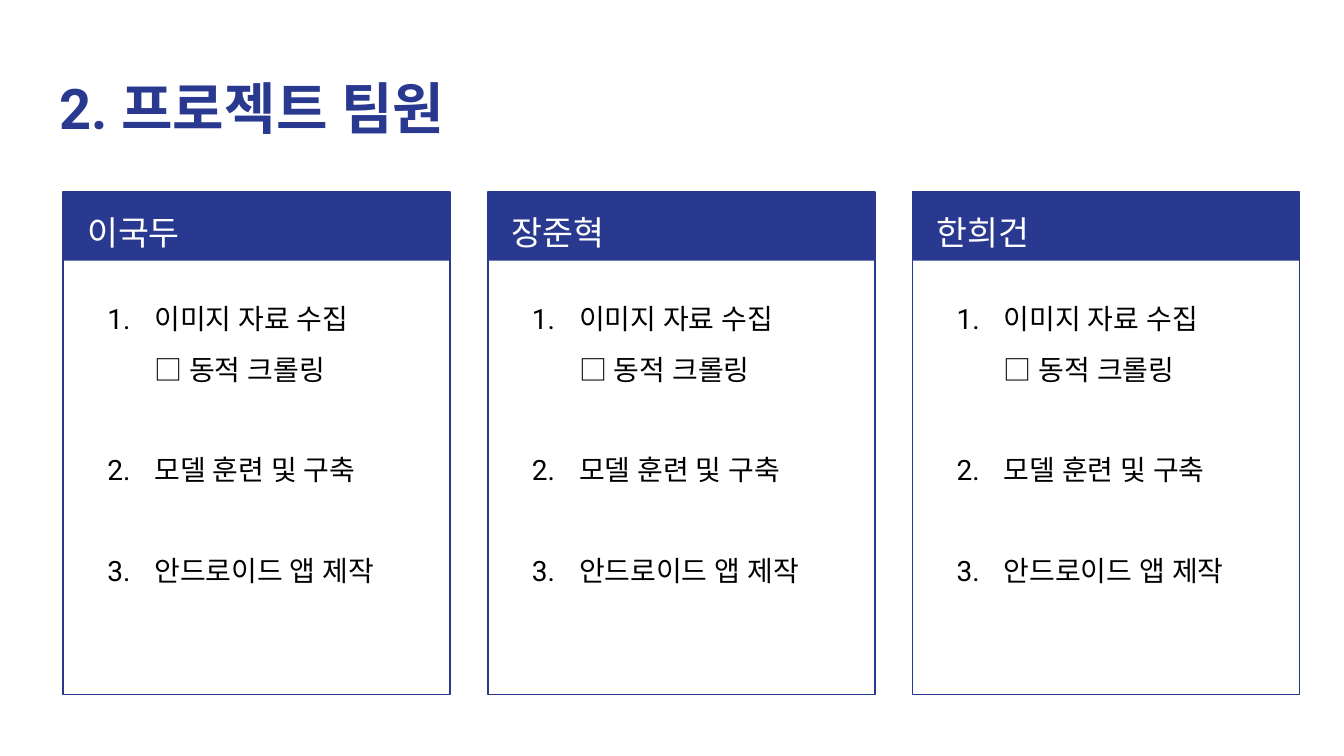
"""Build the project team slide with one task card per member."""
from lxml.etree import SubElement
from pptx import Presentation
from pptx.dml.color import RGBColor
from pptx.enum.shapes import MSO_SHAPE
from pptx.enum.text import MSO_ANCHOR, MSO_AUTO_SIZE, PP_ALIGN
from pptx.oxml.ns import qn
from pptx.util import Inches, Pt

FONT = "Roboto"
NAVY, WHITE, BLACK = "2A3990", "FFFFFF", "000000"
MEMBERS = ["이국두", "장준혁", "한희건"]
TASKS = [
    (1, "이미지 자료 수집", 0),
    (None, "□ 동적 크롤링", 0),
    (2, "모델 훈련 및 구축", 27),
    (3, "안드로이드 앱 제작", 27),
]


def prepare_frame(frame):
    frame.word_wrap = True
    frame.auto_size = MSO_AUTO_SIZE.NONE
    frame.vertical_anchor = MSO_ANCHOR.TOP
    frame.margin_left = frame.margin_right = Inches(0.1)
    frame.margin_top = frame.margin_bottom = Inches(0.1)
    return frame


def add_run(paragraph, text, size, color, bold=False):
    run = paragraph.add_run()
    run.text = text
    run.font.name = FONT
    run.font.size = Pt(size)
    run.font.bold = bold
    run.font.color.rgb = RGBColor.from_string(color)
    SubElement(run.font._element, qn("a:ea"), typeface=FONT)


prs = Presentation()
prs.slide_width, prs.slide_height = Inches(10), Inches(10 * 9 / 16)
slide = prs.slides.add_slide(prs.slide_layouts[5])

title = slide.shapes.title
title.left, title.top = Inches(0.34), Inches(0.45)
title.width, title.height = Inches(9.32), Inches(0.66)
heading = prepare_frame(title.text_frame).paragraphs[0]
heading.alignment = PP_ALIGN.LEFT
add_run(heading, "2. 프로젝트 팀원", 30, NAVY, True)

for column, member in enumerate(MEMBERS):
    left = 0.47 + column * 3.16

    header = slide.shapes.add_shape(
        MSO_SHAPE.RECTANGLE, Inches(left), Inches(1.43), Inches(2.88), Inches(0.51))
    header.shadow.inherit = False
    header.fill.solid()
    header.fill.fore_color.rgb = RGBColor.from_string(NAVY)
    header.line.fill.background()

    card = slide.shapes.add_shape(
        MSO_SHAPE.RECTANGLE, Inches(left), Inches(1.43), Inches(2.88), Inches(3.74))
    card.shadow.inherit = False
    card.fill.background()
    card.line.color.rgb = RGBColor.from_string(NAVY)
    card.line.width = Pt(0.75)

    name_box = slide.shapes.add_textbox(
        Inches(left + 0.08), Inches(1.43), Inches(2.73), Inches(0.5))
    name = prepare_frame(name_box.text_frame).paragraphs[0]
    name.line_spacing = 1.15
    add_run(name, member, 18, WHITE)

    task_box = slide.shapes.add_textbox(
        Inches(left + 0.08), Inches(2.02), Inches(2.71), Inches(3.06))
    tasks = prepare_frame(task_box.text_frame)
    for row, (number, text, space) in enumerate(TASKS):
        task = tasks.add_paragraph() if row else tasks.paragraphs[0]
        task.line_spacing = 1.5
        if space:
            task.space_before = Pt(space)
        properties = task._p.get_or_add_pPr()
        properties.set("marL", str(Inches(0.5)))
        properties.set("indent", str(Inches(-0.35 if number else 0)))
        if number:
            bullet_color = SubElement(properties, qn("a:buClr"))
            SubElement(bullet_color, qn("a:srgbClr"), val=BLACK)
            SubElement(properties, qn("a:buFont"), typeface=FONT)
            SubElement(properties, qn("a:buAutoNum"), type="arabicPeriod", startAt=str(number))
        add_run(task, text, 15, BLACK)

prs.save("out.pptx")
